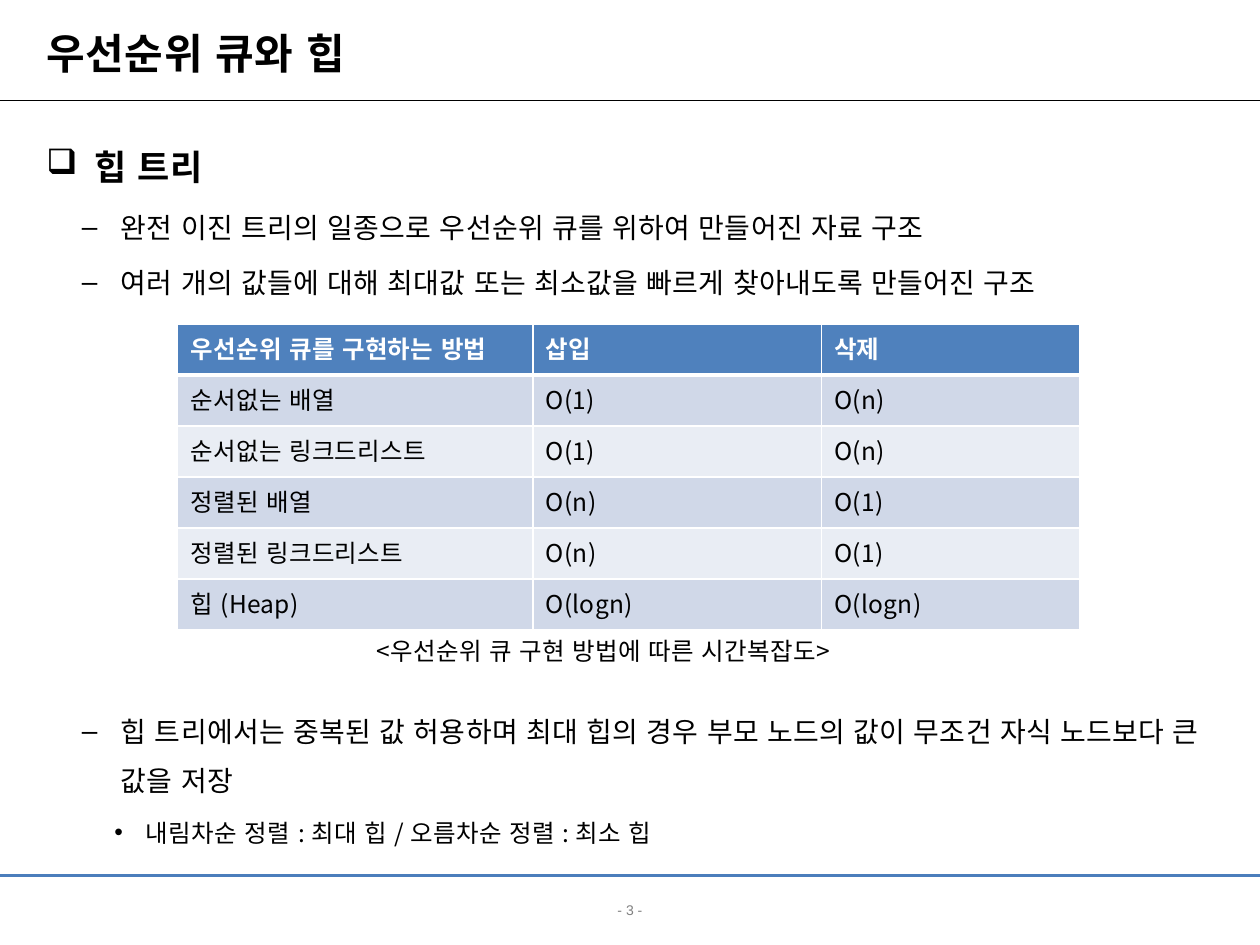
"""Build a slide on priority queues and heaps."""
from lxml import etree
from pptx import Presentation, util as u
from pptx.dml.color import RGBColor
from pptx.enum import shapes, text
from pptx.oxml.ns import qn

COLORS = {"ink": "000000", "white": "FFFFFF", "grey": "808080", "rule": "4B7EBC",
          "head": "4F81BD", "odd": "D0D8E8", "even": "E9EDF4"}
KOREAN = "Noto Sans CJK KR"
LEVELS = [(20, True, "Wingdings", "q", 0.38, -0.38), (16, False, "Arial", "–", 0.59, -0.31),
          (14, False, "Arial", "•", 0.79, -0.25)]


class Deck:
    def __init__(self, width, height):
        self.prs = Presentation()
        self.prs.slide_width, self.prs.slide_height = u.Inches(width), u.Inches(height)
        self.s = self.prs.slides.add_slide(self.prs.slide_layouts[6])

    def color(self, name):
        return RGBColor.from_string(COLORS[name])

    def run(self, p, words, size, color="ink", bold=False, font=KOREAN):
        r = p.add_run()
        r.text = words
        r.font.size, r.font.bold, r.font.name = u.Pt(size), bold, font
        r.font.color.rgb = self.color(color)
        etree.SubElement(r.font._element, qn("a:ea")).set("typeface", font)
        if font == KOREAN:
            r.font._element.set("lang", "ko-KR")
            r.font._element.set("spc", str(round(size * 1.5)))

    def box(self, x, y, w, h, wrap=True, anchor=text.MSO_ANCHOR.TOP):
        tf = self.s.shapes.add_textbox(*map(u.Inches, (x, y, w, h))).text_frame
        tf.word_wrap, tf.vertical_anchor = wrap, anchor
        return tf

    def line(self, y, color, width):
        sp = self.s.shapes.add_connector(shapes.MSO_CONNECTOR.STRAIGHT, 0, u.Inches(y),
                                         self.prs.slide_width, u.Inches(y))
        sp.line.color.rgb, sp.line.width = self.color(color), u.Pt(width)
        etree.SubElement(sp._element.spPr, qn("a:effectLst"))

    def bullets(self, tf, items):
        for i, (level, before, words) in enumerate(items):
            size, bold, font, mark, margin, indent = LEVELS[level]
            p = tf.add_paragraph() if i else tf.paragraphs[0]
            p.level, p.line_spacing, p.space_before = level, 1.47, u.Pt(before)
            pr = p._p.get_or_add_pPr()
            pr.set("marL", str(u.Inches(margin)))
            pr.set("indent", str(u.Inches(indent)))
            etree.SubElement(pr, qn("a:buFont")).set("typeface", font)
            etree.SubElement(pr, qn("a:buChar")).set("char", mark)
            self.run(p, words, size, bold=bold)

    def border(self, cell, side, width):
        ln = etree.SubElement(cell._tc.get_or_add_tcPr(), qn("a:" + side), w=str(u.Pt(width)))
        fill = etree.SubElement(ln, qn("a:solidFill"))
        etree.SubElement(fill, qn("a:srgbClr"), val=COLORS["white"])

    def table(self, x, y, widths, row_height, rows):
        shape = self.s.shapes.add_table(len(rows), len(widths), u.Inches(x), u.Inches(y),
                                        u.Inches(sum(widths)), u.Inches(row_height * len(rows)))
        table = shape.table
        for column, width in zip(table.columns, widths):
            column.width = u.Inches(width)
        for i, row in enumerate(rows):
            for j, words in enumerate(row):
                cell = table.cell(i, j)
                for side in ("lnL", "lnR", "lnT", "lnB"):
                    thick = (i, side) in ((0, "lnB"), (1, "lnT"))
                    self.border(cell, side, 3 if thick else 1)
                cell.fill.solid()
                cell.fill.fore_color.rgb = self.color(
                    "head" if i == 0 else "odd" if i % 2 else "even")
                self.run(cell.text_frame.paragraphs[0], words, 14,
                         "ink" if i else "white", i == 0)


deck = Deck(10, 7.5)
deck.line(0.8, "ink", 0.75)
deck.line(6.95, "rule", 1.5)

page = deck.box(0, 7.11, 10, 0.24).paragraphs[0]
page.alignment = text.PP_ALIGN.CENTER
deck.run(page, "- 3 -", 8, "grey", font="Arial")

title = deck.box(0.27, 0.21, 9.39, 0.42, anchor=text.MSO_ANCHOR.MIDDLE)
deck.run(title.paragraphs[0], "우선순위 큐와 힙", 24, bold=True)

deck.bullets(deck.box(0.27, 0.95, 9.45, 5.83), [
    (0, 5, "힙 트리"),
    (1, 4, "완전 이진 트리의 일종으로 우선순위 큐를 위하여 만들어진 자료 구조"),
    (1, 3.2, "여러 개의 값들에 대해 최대값 또는 최소값을 빠르게 찾아내도록 만들어진 구조"),
    (1, 228.4, "힙 트리에서는 중복된 값 허용하며 최대 힙의 경우 부모 노드의 값이 "
               "무조건 자식 노드보다 큰 값을 저장"),
    (2, 3.8, "내림차순 정렬 : 최대 힙 / 오름차순 정렬 : 최소 힙"),
])

deck.table(1.41, 2.57, [2.82, 2.29, 2.05], 0.405, [
    ("우선순위 큐를 구현하는 방법", "삽입", "삭제"),
    ("순서없는 배열", "O(1)", "O(n)"),
    ("순서없는 링크드리스트", "O(1)", "O(n)"),
    ("정렬된 배열", "O(n)", "O(1)"),
    ("정렬된 링크드리스트", "O(n)", "O(1)"),
    ("힙 (Heap)", "O(logn)", "O(logn)"),
])

caption = deck.box(2.89, 5, 4.16, 0.34, wrap=False)
deck.run(caption.paragraphs[0], "<우선순위 큐 구현 방법에 따른 시간복잡도>", 14)

deck.prs.save("out.pptx")
